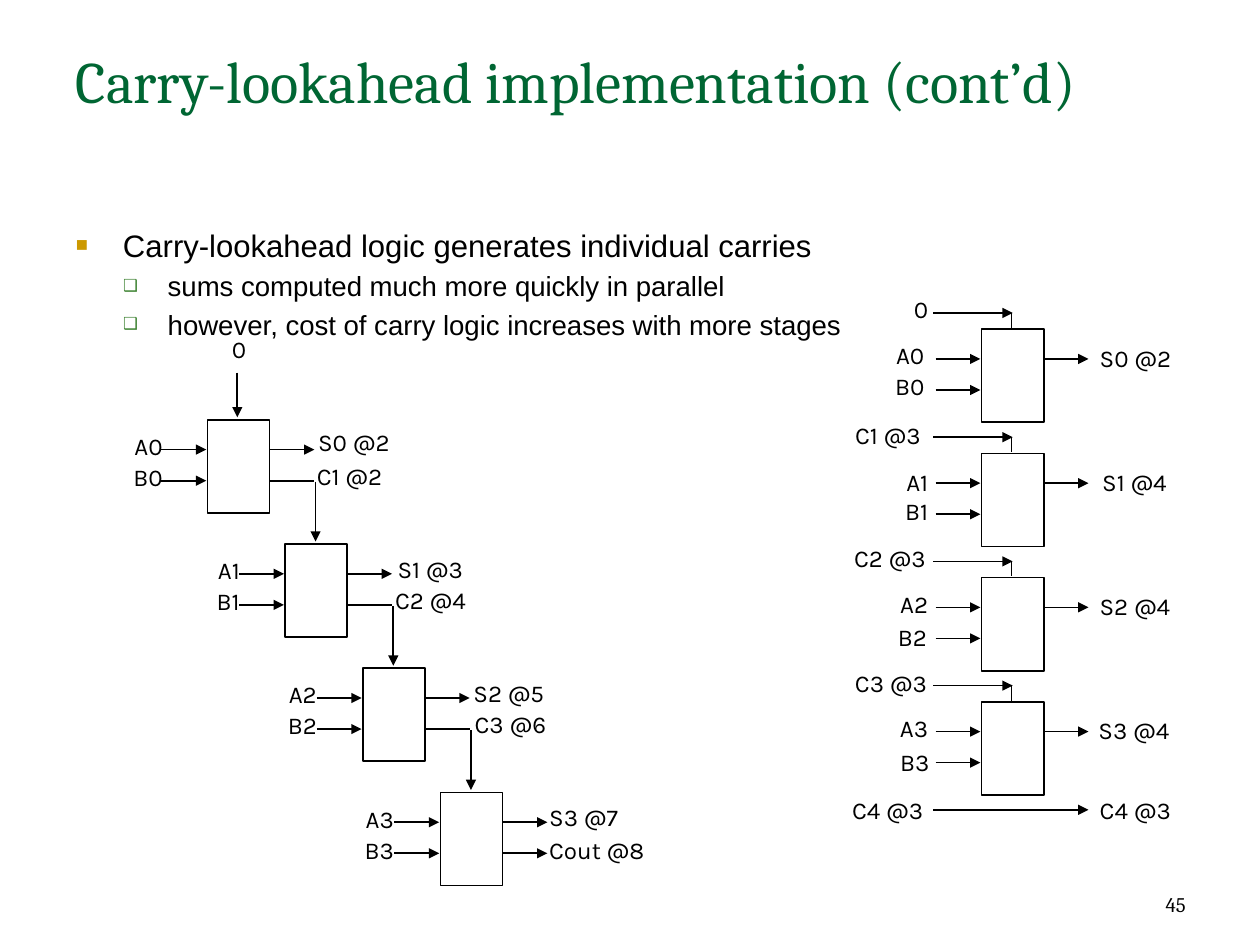
from dataclasses import dataclass

import lxml.etree
import pptx
import pptx.dml.color
import pptx.enum.shapes
import pptx.enum.text
import pptx.oxml.ns
import pptx.util

Inches, Pt = pptx.util.Inches, pptx.util.Pt
qn = pptx.oxml.ns.qn
ALIGN = pptx.enum.text.PP_ALIGN
ANCHOR = pptx.enum.text.MSO_ANCHOR

COLORS = {"ink": "000000", "title": "006633", "square": "CC9900", "box": "3B812F"}
BOX_W, BOX_H = 0.5, 0.75
WIRE = 0.36  # length of a short input or output arrow
PIN = 0.25  # distance between the two pins of an adder
LABEL_H = 0.31


@dataclass
class Label:
    text: str
    x: float
    y: float
    w: float = 0.35
    align: ALIGN = ALIGN.RIGHT


@dataclass
class Bullet:
    text: str
    level: int
    size: int
    char: str
    color: str
    scale: int
    margin: float
    hang: float


def rgb(name: str) -> pptx.dml.color.RGBColor:
    return pptx.dml.color.RGBColor.from_string(COLORS[name])


def add_run(p, text: str, size: float, font: str, color: str = "ink") -> None:
    r = p.add_run()
    r.text = text
    r.font.size, r.font.name = Pt(size), font
    r.font.color.rgb = rgb(color)


def place(sp, x: float, y: float, w: float, h: float) -> None:
    sp.left, sp.top, sp.width, sp.height = map(Inches, (x, y, w, h))


def add_label(shapes, label: Label) -> None:
    sp = shapes.add_textbox(*map(Inches, (label.x, label.y, label.w, LABEL_H)))
    tf = sp.text_frame
    tf.word_wrap = False
    tf.margin_left = tf.margin_right = Inches(0.02)
    tf.margin_top = tf.margin_bottom = Inches(0.03)
    p = tf.paragraphs[0]
    p.alignment, p.line_spacing = label.align, Pt(12)
    add_run(p, label.text, 14, "Karla")


def add_wire(shapes, x1: float, y1: float, x2: float, y2: float, arrow: bool = True) -> None:
    c = shapes.add_connector(pptx.enum.shapes.MSO_CONNECTOR.STRAIGHT,
                             *map(Inches, (x1, y1, x2, y2)))
    c.line.width = Pt(1)
    c.line.color.rgb = rgb("ink")
    spPr = c._element.spPr
    if arrow:
        lxml.etree.SubElement(spPr.find(qn("a:ln")), qn("a:tailEnd"), type="triangle")
    lxml.etree.SubElement(spPr, qn("a:effectLst"))


def add_adder(shapes, x: float, y: float) -> None:
    """Adder box with its two operand inputs and its sum output."""
    sp = shapes.add_shape(pptx.enum.shapes.MSO_SHAPE.RECTANGLE,
                          *map(Inches, (x, y, BOX_W, BOX_H)))
    sp.shadow.inherit = False
    sp.fill.background()
    sp.line.width = Pt(1)
    sp.line.color.rgb = rgb("ink")
    for pin_y in (y + 0.24, y + 0.24 + PIN):
        add_wire(shapes, x - 0.37, pin_y, x - 0.01, pin_y)
    add_wire(shapes, x + BOX_W, y + 0.24, x + BOX_W + WIRE, y + 0.24)


def add_bullet(p, b: Bullet) -> None:
    p.level = b.level
    add_run(p, b.text, b.size, "Arial")
    pPr = p._p.get_or_add_pPr()
    pPr.set("marL", str(Inches(b.margin)))
    pPr.set("indent", str(-Inches(b.hang)))
    clr = lxml.etree.SubElement(pPr, qn("a:buClr"))
    lxml.etree.SubElement(clr, qn("a:srgbClr"), val=COLORS[b.color])
    lxml.etree.SubElement(pPr, qn("a:buSzPct"), val=str(b.scale * 1000))
    lxml.etree.SubElement(pPr, qn("a:buFont"), typeface="Arial")
    lxml.etree.SubElement(pPr, qn("a:buChar"), char=b.char)


prs = pptx.Presentation()
prs.slide_width, prs.slide_height = Inches(10.14), Inches(7.6)
s = prs.slides.add_slide(prs.slide_layouts[1])

# Title and list
title, body = s.shapes.title, s.placeholders[1]
place(title, 0.51, 0.31, 9.12, 1.26)
place(body, 0.51, 1.77, 9.12, 5.02)
for sp in (title, body):
    sp.text_frame.vertical_anchor = ANCHOR.TOP
    sp.text_frame.auto_size = pptx.enum.text.MSO_AUTO_SIZE.NONE
p = title.text_frame.paragraphs[0]
p.alignment = ALIGN.LEFT
add_run(p, "Carry-lookahead implementation (cont’d)", 34, "Cambria", "title")

SUB_STYLE = (1, 16, "❑", "box", 60, 0.74, 0.36)
bullets = [
    Bullet("Carry-lookahead logic generates individual carries",
           0, 18, "■", "square", 65, 0.38, 0.38),
    Bullet("sums computed much more quickly in parallel", *SUB_STYLE),
    Bullet("however, cost of carry logic increases with more stages", *SUB_STYLE),
]
tf = body.text_frame
for i, bullet in enumerate(bullets):
    add_bullet(tf.add_paragraph() if i else tf.paragraphs[0], bullet)

# Ripple-carry chain: each adder's carry drops into the next one
ripple = s.shapes.add_group_shape().shapes
add_label(ripple, Label("0", 1.69, 2.73, 0.47, ALIGN.CENTER))
add_wire(ripple, 1.91, 3, 1.91, 3.36)
ripple_outputs = [
    Label("S0 @2", 2.54, 3.48, 0.71, ALIGN.LEFT),
    Label("C1 @2", 2.53, 3.75, 0.86, ALIGN.LEFT),
    Label("S1 @3", 3.18, 4.5, 1.01, ALIGN.LEFT),
    Label("C2 @4", 3.16, 4.75, 1.12, ALIGN.LEFT),
    Label("S2 @5", 3.79, 5.5, 0.83, ALIGN.LEFT),
    Label("C3 @6", 3.8, 5.75, 0.92, ALIGN.LEFT),
    Label("S3 @7", 4.4, 6.5, 0.71, ALIGN.LEFT),
    Label("Cout @8", 4.4, 6.76, 0.86, ALIGN.LEFT),
]
for label in ripple_outputs:
    add_label(ripple, label)
for i in range(4):
    x, y = 1.67 + 0.625 * i, 3.38 + i
    add_adder(ripple, x, y)
    for name, dy in (("A", 0.13), ("B", 0.38)):
        add_label(ripple, Label(f"{name}{i}", 0.98 + 0.62 * i, y + dy))
    last = i == 3
    carry_x, carry_y = x + BOX_W + WIRE, y + 0.24 + PIN
    add_wire(ripple, x + BOX_W, carry_y, carry_x, carry_y, arrow=last)
    if not last:
        add_wire(ripple, carry_x + 0.01, carry_y + 0.01, carry_x + 0.01, y + 0.98)

# Lookahead adders: every carry arrives from its own logic
lookahead = s.shapes.add_group_shape().shapes
lookahead_labels = [
    Label("0", 7.02, 2.41, 0.47), Label("A0", 7.11, 2.78), Label("B0", 7.11, 3.03),
    Label("C1 @3", 6.57, 3.42, 0.86), Label("A1", 7.14, 3.8), Label("B1", 7.14, 4.03),
    Label("C2 @3", 6.35, 4.41, 1.12), Label("A2", 7.14, 4.78), Label("B2", 7.13, 5.05),
    Label("C3 @3", 6.56, 5.42, 0.92), Label("A3", 7.14, 5.78), Label("B3", 7.15, 6.05),
    Label("C4 @3", 6.53, 6.44, 0.92),
    Label("S0 @2", 8.83, 2.8, 0.71, ALIGN.LEFT),
    Label("S1 @4", 8.85, 3.8, 1.01, ALIGN.LEFT),
    Label("S2 @4", 8.83, 4.8, 0.83, ALIGN.LEFT),
    Label("S3 @4", 8.82, 5.8, 0.71, ALIGN.LEFT),
    Label("C4 @3", 8.83, 6.44, 0.92, ALIGN.LEFT),
]
for label in lookahead_labels:
    add_label(lookahead, label)
for i in range(4):
    y = 2.65 + i
    add_adder(lookahead, 7.9, y)
    add_wire(lookahead, 7.51, y - 0.13, 8.15, y - 0.13)
    add_wire(lookahead, 8.14, y - 0.13, 8.14, y - 0.01, arrow=False)
add_wire(lookahead, 7.51, 6.52, 8.76, 6.52)

# Page number
sp = s.shapes.add_textbox(*map(Inches, (7.27, 6.92, 2.37, 0.51)))
tf = sp.text_frame
tf.word_wrap, tf.vertical_anchor = True, ANCHOR.BOTTOM
p = tf.paragraphs[0]
p.alignment = ALIGN.RIGHT
add_run(p, "45", 12, "Cambria")

prs.save("out.pptx")
